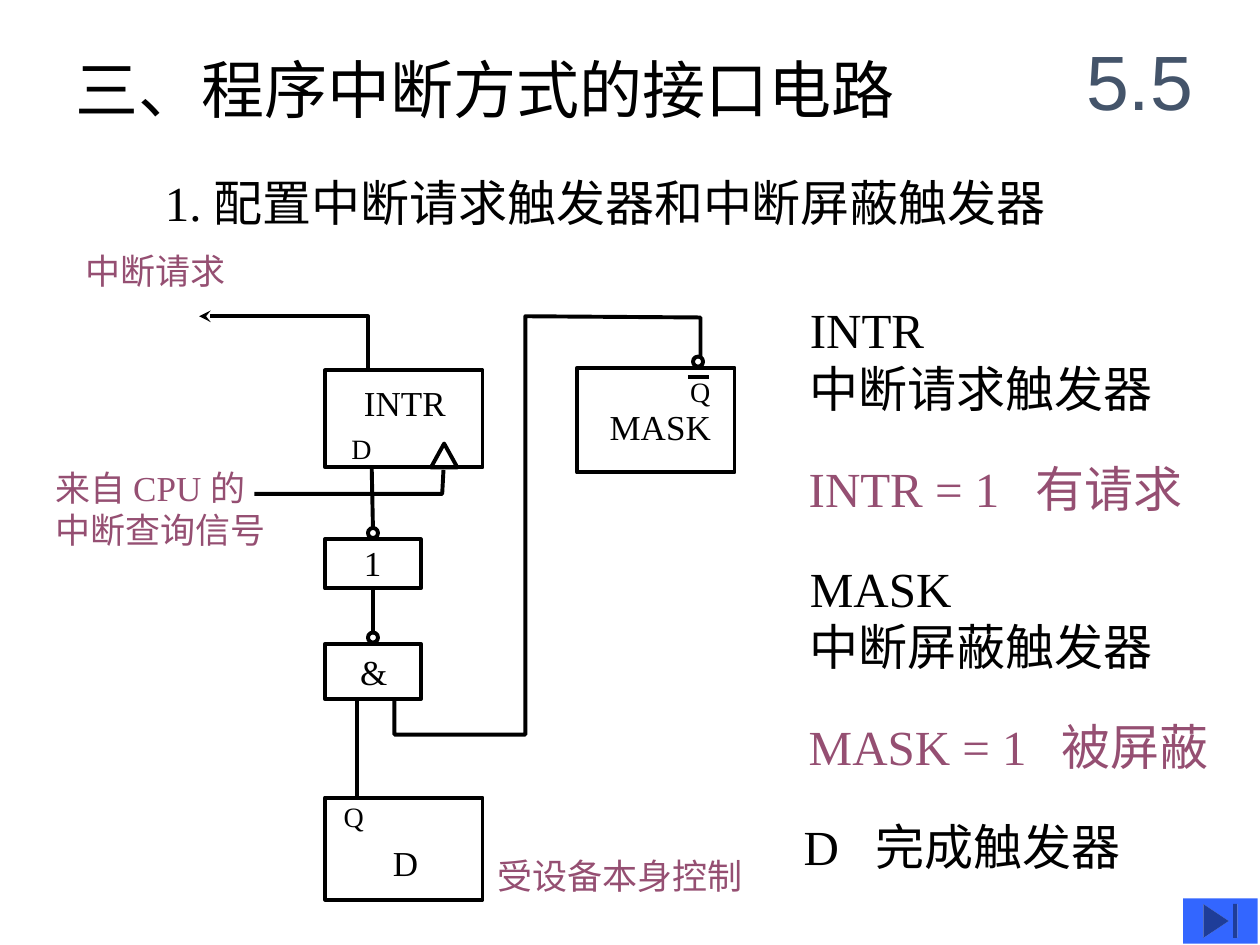
from lxml.etree import SubElement
from pptx import Presentation
from pptx.dml.color import RGBColor
from pptx.enum.lang import MSO_LANGUAGE_ID as Language
from pptx.enum.shapes import MSO_CONNECTOR as Connector, MSO_SHAPE as Shape
from pptx.enum.text import MSO_ANCHOR as Anchor, MSO_AUTO_SIZE as AutoSize, PP_ALIGN as Align
from pptx.oxml.ns import qn
from pptx.util import Pt

PX = 9144
COLORS = {"ink": "000000", "accent": "954F72", "number": "44546A", "button": "3366FF"}
LINE_WIDTH = Pt(2.25)
BUBBLE = 8
LABEL_HEIGHT = 44


def color_of(name):
    return RGBColor.from_string(COLORS[name])


def add_text(page, box, lines, size, color="ink", font="Times New Roman", wrap=False, tab=None):
    text_box = page.shapes.add_textbox(*(value * PX for value in box))
    frame = text_box.text_frame
    frame.word_wrap = wrap
    frame.auto_size = AutoSize.SHAPE_TO_FIT_TEXT
    for index, line in enumerate(lines):
        para = frame.add_paragraph() if index else frame.paragraphs[0]
        if tab:
            tab_list = SubElement(para._p.get_or_add_pPr(), qn("a:tabLst"))
            SubElement(tab_list, qn("a:tab"), pos=str(tab * PX), algn="l")
        span = para.add_run()
        span.text = line
        span.font.name = font
        span.font.size = Pt(size)
        span.font.color.rgb = color_of(color)
        span.font.language_id = Language.SIMPLIFIED_CHINESE
    return frame


def outline(shape):
    shape.shadow.inherit = False
    shape.fill.background()
    shape.line.color.rgb = color_of("ink")
    shape.line.width = LINE_WIDTH
    return shape


def add_outline(page, kind, box):
    return outline(page.shapes.add_shape(kind, *(value * PX for value in box)))


def add_wire(page, points, arrow=False):
    builder = page.shapes.build_freeform(*points[0], scale=PX)
    builder.add_line_segments(points[1:], close=False)
    wire = outline(builder.convert_to_shape())
    if arrow:
        SubElement(wire.line._get_or_add_ln(), qn("a:tailEnd"), type="stealth")


def add_line(page, start, end):
    line = page.shapes.add_connector(
        Connector.STRAIGHT, *(value * PX for value in (*start, *end)))
    line.line.color.rgb = color_of("ink")
    line.line.width = LINE_WIDTH
    SubElement(line._element.spPr, qn("a:effectLst"))
    return line


def draw_heading(page, box):
    left, top, width, height = box
    add_text(page, (left, top + 18, 670, 70), ["三、程序中断方式的接口电路"], 36)
    add_text(page, (left + 71, top + 115, 728, 57), ["1. 配置中断请求触发器和中断屏蔽触发器"], 28)
    number = add_text(page, (left + width - 125, top, 125, 92), ["5.5"], 44,
                      "number", "Arial", wrap=True)
    number.auto_size = AutoSize.NONE
    number.vertical_anchor = Anchor.MIDDLE
    number.paragraphs[0].alignment = Align.CENTER


def draw_flip_flop(page, box, name, pin):
    left, top = box[:2]
    add_outline(page, Shape.RECTANGLE, box)
    for (text, across, down, width), size, height in ((name, 20, LABEL_HEIGHT), (pin, 16, 37)):
        add_text(page, (left + across, top + down, width, height), [text], size)


def draw_gate(page, box, symbol, label_width):
    left, top, width, height = box
    middle = left + width // 2
    body = add_outline(page, Shape.RECTANGLE, box)
    bubble = add_outline(page, Shape.OVAL,
                         (middle - BUBBLE // 2, top - BUBBLE - 1, BUBBLE, BUBBLE))
    label = (middle - label_width // 2, top + (height - LABEL_HEIGHT) // 2,
             label_width, LABEL_HEIGHT)
    add_text(page, label, [symbol], 20)
    return body, bubble


def draw_circuit(page, box):
    left, top = box[:2]

    def at(across, down, *size):
        return (left + across, top + down, *size)

    draw_flip_flop(page, at(224, 101, 125, 77), ("INTR", 21, 4, 86), ("D", 11, 44, 36))
    add_outline(page, Shape.ISOSCELES_TRIANGLE, at(308, 159, 21, 19))
    draw_flip_flop(page, at(424, 99, 125, 83), ("MASK", 16, 25, 104), ("Q", 80, 0, 36))
    add_outline(page, Shape.OVAL, at(516, 90, BUBBLE, BUBBLE))
    add_line(page, at(512, 106), at(529, 106))
    draw_flip_flop(page, at(224, 440, 125, 81), ("D", 44, 30, 40), ("Q", 5, -3, 36))

    inverter, inverter_bubble = draw_gate(page, at(224, 235, 76, 39), "1", 34)
    and_gate, and_bubble = draw_gate(page, at(224, 318, 76, 44), "&", 41)
    add_line(page, at(261, 178), at(262, 226)).end_connect(inverter_bubble, 0)
    link = add_line(page, at(262, 274), at(262, 309))
    link.begin_connect(inverter, 2)
    link.end_connect(and_bubble, 0)
    add_line(page, at(249, 362), at(249, 440))

    add_wire(page, [at(168, 199), at(317, 199), at(318, 180)])
    add_wire(page, [at(279, 363), at(279, 390), at(383, 390),
                    at(383, 58), at(522, 59), at(522, 91)])
    add_wire(page, [at(258, 100), at(258, 58), at(124, 58)], arrow=True)

    add_text(page, at(24, 0, 133, 44), ["中断请求"], 20, "accent", wrap=True)
    add_text(page, at(0, 172, 187, 77), ["来自 CPU 的", "中断查询信号"], 20, "accent")
    add_text(page, at(351, 480, 215, 44), ["受设备本身控制"], 20, "accent")


def draw_legend(page, box):
    left, top, width = box[:3]
    entries = [
        ("INTR", "中断请求触发器", "INTR = 1\t有请求", 180),
        ("MASK", "中断屏蔽触发器", "MASK = 1\t被屏蔽", 201),
    ]
    for index, (name, meaning, state, tab) in enumerate(entries):
        row = top + index * 205
        add_text(page, (left + 5, row, 292, 104), [name, meaning], 28)
        add_text(page, (left + 4, row + 126, width - 4, 57), [state], 28, "accent",
                 wrap=True, tab=tab)
    add_text(page, (left, top + 410, 280, 57), ["D\t完成触发器"], 28, wrap=True, tab=57)


def draw_end_button(page, box):
    button = page.shapes.add_shape(Shape.ACTION_BUTTON_END, *(value * PX for value in box))
    button.shadow.inherit = False
    button.fill.solid()
    button.fill.fore_color.rgb = color_of("button")
    button.line.fill.background()


def main():
    deck = Presentation()
    deck.slide_width, deck.slide_height = 1000 * PX, 750 * PX
    page = deck.slides.add_slide(deck.slide_layouts[6])
    draw_heading(page, (50, 17, 917, 172))
    draw_circuit(page, (34, 193, 566, 524))
    draw_legend(page, (628, 233, 372, 467))
    draw_end_button(page, (939, 713, 59, 36))
    deck.save("out.pptx")


if __name__ == "__main__":
    main()
